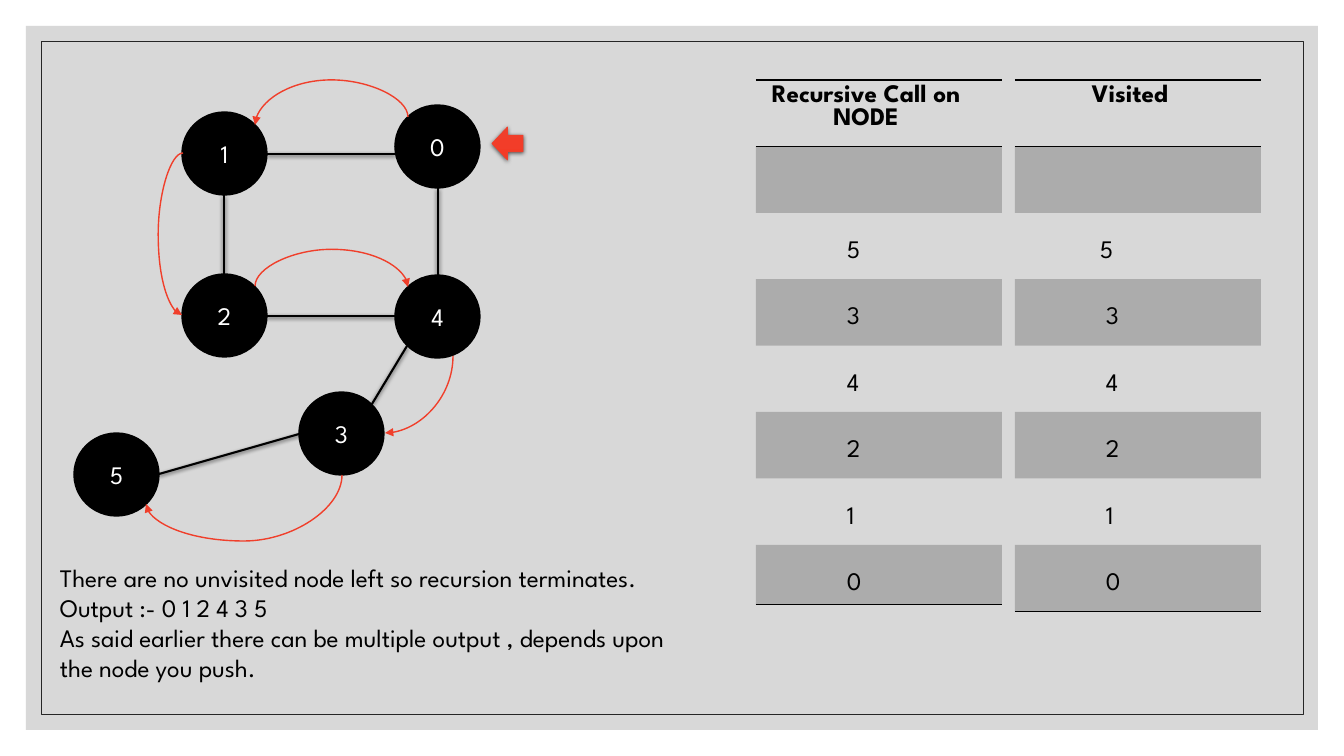
from dataclasses import dataclass
from math import cos, pi, sin
from typing import NamedTuple, Optional

from lxml.etree import SubElement
from pptx import Presentation
from pptx.dml.color import RGBColor
from pptx.enum.dml import MSO_LINE
from pptx.enum.shapes import MSO_CONNECTOR, MSO_SHAPE
from pptx.enum.text import MSO_ANCHOR, PP_ALIGN
from pptx.oxml import parse_xml
from pptx.oxml.ns import nsdecls, qn
from pptx.util import Emu, Pt

EMU_PER_PIXEL = 914400 / 100.8


@dataclass(frozen=True)
class Theme:
    font: str = "League Spartan"
    size: int = 18
    ink: str = "000000"
    node_text: str = "FFFFFF"
    panel: str = "BFBFBF"
    frame: str = "262626"
    call: str = "F03F2B"
    pointer_end: str = "F33B26"
    panel_alpha: int = 60
    band_alpha: int = 20
    shadow_alpha: int = 63


class Point(NamedTuple):
    x: float
    y: float


class Node(NamedTuple):
    label: str
    left: int
    top: int


class Edge(NamedTuple):
    start: Point
    end: Point


class Call(NamedTuple):
    caller: str
    caller_site: Optional[int]
    callee: str
    callee_site: int
    start: Point
    end: Point
    rotation: int
    flips: str
    bend: Optional[int]


class Stack(NamedTuple):
    left: int
    heading: list[str]
    heading_margin: int
    entries: list[str]
    entry_indents: list[int]
    last_height: float


THEME = Theme()
NODE_WIDTH, NODE_HEIGHT = 85, 83
STACK_TOP, STACK_WIDTH, ROW_HEIGHT = 80, 246, 66.4
NO_STYLE = "{2D5ABB26-0587-4C30-8999-92F81FD0307C}"

NODES = [Node("1", 182, 112), Node("3", 299, 392), Node("2", 182, 274),
         Node("5", 74, 433), Node("4", 395, 275), Node("0", 395, 105)]
NODE_BY_LABEL = {node.label: node for node in NODES}


def px(value: float) -> Emu:
    return Emu(round(value * EMU_PER_PIXEL))


def site(label: str, index: int) -> Point:
    node = NODE_BY_LABEL[label]
    angle = -pi / 2 - index * pi / 4
    return Point(round(node.left + NODE_WIDTH / 2 * (1 + cos(angle))),
                 round(node.top + NODE_HEIGHT / 2 * (1 + sin(angle))))


EDGES = [Edge(Point(267, 154), Point(395, 154)),
         Edge(site("5", 6), site("3", 2)),
         Edge(site("2", 6), site("4", 2)),
         Edge(site("0", 4), site("4", 0)),
         Edge(site("1", 4), site("2", 0)),
         Edge(site("3", 7), site("4", 3))]

CALLS = [Call("0", 1, "1", 7, Point(408, 117), Point(255, 125), 270, "HV", 80),
         Call("2", 7, "4", 1, Point(255, 286), Point(408, 287), 270, "H", 249),
         Call("4", None, "3", 6, Point(453, 356), Point(385, 433), 90, "", None),
         Call("3", 4, "5", 5, Point(342, 475), Point(146, 504), 90, "", 541),
         Call("1", 2, "2", 2, Point(183, 153), Point(182, 315), 180, "V", 158)]

ENTRIES = ["", "5", "3", "4", "2", "1", "0"]
STACKS = [Stack(756, ["Recursive Call on", "NODE"], 36, ENTRIES, [91] * 7, 60),
          Stack(1015, ["Visited"], 26, ENTRIES, [91, 85, 91, 91, 91, 91, 91], ROW_HEIGHT)]

NOTES = ["There are no unvisited node left so recursion terminates.",
         "Output :- 0 1 2 4 3 5",
         "As said earlier there can be multiple output , depends upon the node you push."]


def color(code: str) -> RGBColor:
    return RGBColor.from_string(code)


def set_alpha(fill_parent, percent: int) -> None:
    tint = fill_parent.find(".//" + qn("a:srgbClr"))
    SubElement(tint, qn("a:alpha")).set("val", str(percent * 1000))


def style_text(paragraph, text: str, code: str, bold: bool = False) -> None:
    paragraph.text = text
    paragraph.font.name = THEME.font
    paragraph.font.size = Pt(THEME.size)
    paragraph.font.bold = bold
    paragraph.font.color.rgb = color(code)


def add_effects(shape, shadowed: bool) -> None:
    shadow = (f'<a:outerShdw blurRad="{Pt(3)}" dist="{Pt(1)}" dir="5400000" rotWithShape="0">'
              f'<a:srgbClr val="{THEME.ink}"><a:alpha val="{THEME.shadow_alpha * 1000}"/>'
              '</a:srgbClr></a:outerShdw>') if shadowed else ""
    shape._element.spPr.append(
        parse_xml(f'<a:effectLst {nsdecls("a")}>{shadow}</a:effectLst>'))


def add_panels(slide) -> None:
    panel = slide.shapes.add_shape(MSO_SHAPE.RECTANGLE, px(26), px(26), px(1292), px(704))
    panel.shadow.inherit = False
    panel.fill.solid()
    panel.fill.fore_color.rgb = color(THEME.panel)
    set_alpha(panel._element.spPr, THEME.panel_alpha)
    panel.line.fill.background()
    frame = slide.shapes.add_shape(MSO_SHAPE.RECTANGLE, px(41), px(41), px(1262), px(673))
    frame.shadow.inherit = False
    frame.fill.background()
    frame.line.color.rgb = color(THEME.frame)
    frame.line.width = Pt(0.5)


def add_node(slide, node: Node):
    circle = slide.shapes.add_shape(MSO_SHAPE.OVAL, px(node.left), px(node.top),
                                    px(NODE_WIDTH), px(NODE_HEIGHT))
    circle.shadow.inherit = False
    circle.fill.solid()
    circle.fill.fore_color.rgb = color(THEME.ink)
    circle.line.color.rgb = color(THEME.ink)
    circle.line.width = Pt(1)
    circle.text_frame.vertical_anchor = MSO_ANCHOR.MIDDLE
    label = circle.text_frame.paragraphs[0]
    label.alignment = PP_ALIGN.CENTER
    style_text(label, node.label, THEME.node_text)
    return circle


def add_link(slide, kind, start: Point, end: Point, code: str, width: float, shadowed: bool):
    link = slide.shapes.add_connector(kind, px(start.x), px(start.y), px(end.x), px(end.y))
    link.line.color.rgb = color(code)
    link.line.width = Pt(width)
    link.line.dash_style = MSO_LINE.SOLID
    add_effects(link, shadowed)
    return link


def add_call(slide, call: Call, circles: dict) -> None:
    start, end = call.start, call.end
    link = add_link(slide, MSO_CONNECTOR.CURVE, start, end, THEME.call, 1, False)
    SubElement(link.line._get_or_add_ln(), qn("a:tailEnd")).set("type", "triangle")
    vertical = call.rotation != 180
    width, height = abs(end.x - start.x), abs(end.y - start.y)
    if vertical:
        width, height = height, width
    link.left = px((start.x + end.x - width) / 2)
    link.top = px((start.y + end.y - height) / 2)
    link.width, link.height = px(width), px(height)
    frame = link._element.spPr.find(qn("a:xfrm"))
    frame.set("rot", str(call.rotation * 60000))
    for axis in "HV":
        frame.set("flip" + axis, str(int(axis in call.flips)))
    outline = link._element.spPr.find(qn("a:prstGeom"))
    if call.bend is None:
        outline.set("prst", "curvedConnector2")
    else:
        axis = 1 if vertical else 0
        ratio = (call.bend - start[axis]) / (end[axis] - start[axis])
        guide = SubElement(outline.find(qn("a:avLst")), qn("a:gd"))
        guide.set("name", "adj1")
        guide.set("fmla", f"val {round(ratio * 100000)}")
    joints = link._element.find(".//" + qn("p:cNvCxnSpPr"))
    for tag, label, index in (("a:stCxn", call.caller, call.caller_site),
                              ("a:endCxn", call.callee, call.callee_site)):
        if index is not None:
            joint = SubElement(joints, qn(tag))
            joint.set("id", str(circles[label].shape_id))
            joint.set("idx", str(index))


def add_pointer(slide) -> None:
    pointer = slide.shapes.add_shape(MSO_SHAPE.LEFT_ARROW, px(492), px(127), px(31), px(33))
    pointer.fill.gradient()
    pointer.fill.gradient_angle = 270
    for stop, code in zip(pointer.fill.gradient_stops, (THEME.call, THEME.pointer_end)):
        stop.color.rgb = color(code)
    pointer.line.color.rgb = color(THEME.call)
    pointer.line.width = Pt(0.5)
    add_effects(pointer, True)


def style_cell(cell, banded: bool, ruled: str) -> None:
    if banded:
        cell.fill.solid()
        cell.fill.fore_color.rgb = color(THEME.ink)
        set_alpha(cell._tc.tcPr, THEME.band_alpha)
    else:
        cell.fill.background()
    for position, side in enumerate(ruled):
        cell._tc.tcPr.insert(position, parse_xml(
            f'<a:ln{side} {nsdecls("a")} w="{Pt(1)}"><a:solidFill>'
            f'<a:srgbClr val="{THEME.ink}"/></a:solidFill></a:ln{side}>'))


def add_stack(slide, stack: Stack) -> None:
    heights = [ROW_HEIGHT] * len(stack.entries) + [stack.last_height]
    table = slide.shapes.add_table(len(heights), 1, px(stack.left), px(STACK_TOP),
                                   px(STACK_WIDTH), px(sum(heights))).table
    table._tbl.tblPr.find(qn("a:tableStyleId")).text = NO_STYLE
    table.first_row = table.horz_banding = False
    for row, height in zip(table.rows, heights):
        row.height = px(height)
    heading = table.cell(0, 0)
    heading.margin_right = px(stack.heading_margin)
    for position, line in enumerate(stack.heading):
        frame = heading.text_frame
        paragraph = frame.add_paragraph() if position else frame.paragraphs[0]
        paragraph.alignment = PP_ALIGN.CENTER
        style_text(paragraph, line, THEME.ink, bold=True)
    style_cell(heading, False, "TB")
    for row, (entry, indent) in enumerate(zip(stack.entries, stack.entry_indents), 1):
        cell = table.cell(row, 0)
        if entry:
            cell.margin_left, cell.margin_top = px(indent), px(28)
            style_text(cell.text_frame.paragraphs[0], entry, THEME.ink)
        style_cell(cell, row % 2 == 1, "B" if row == len(stack.entries) else "")


def add_notes(slide) -> None:
    frame = slide.shapes.add_textbox(px(50), px(557), px(651), px(163)).text_frame
    frame.word_wrap = True
    for position, note in enumerate(NOTES):
        paragraph = frame.add_paragraph() if position else frame.paragraphs[0]
        style_text(paragraph, note, THEME.ink)


def main() -> None:
    deck = Presentation()
    deck.slide_width, deck.slide_height = px(1344), px(756)
    slide = deck.slides.add_slide(deck.slide_layouts[6])
    add_panels(slide)
    circles = {node.label: add_node(slide, node) for node in NODES}
    for edge in EDGES:
        add_link(slide, MSO_CONNECTOR.STRAIGHT, edge.start, edge.end, THEME.ink, 1.5, True)
    for call in CALLS:
        add_call(slide, call, circles)
    add_pointer(slide)
    for stack in STACKS:
        add_stack(slide, stack)
    add_notes(slide)
    deck.save("out.pptx")


main()
